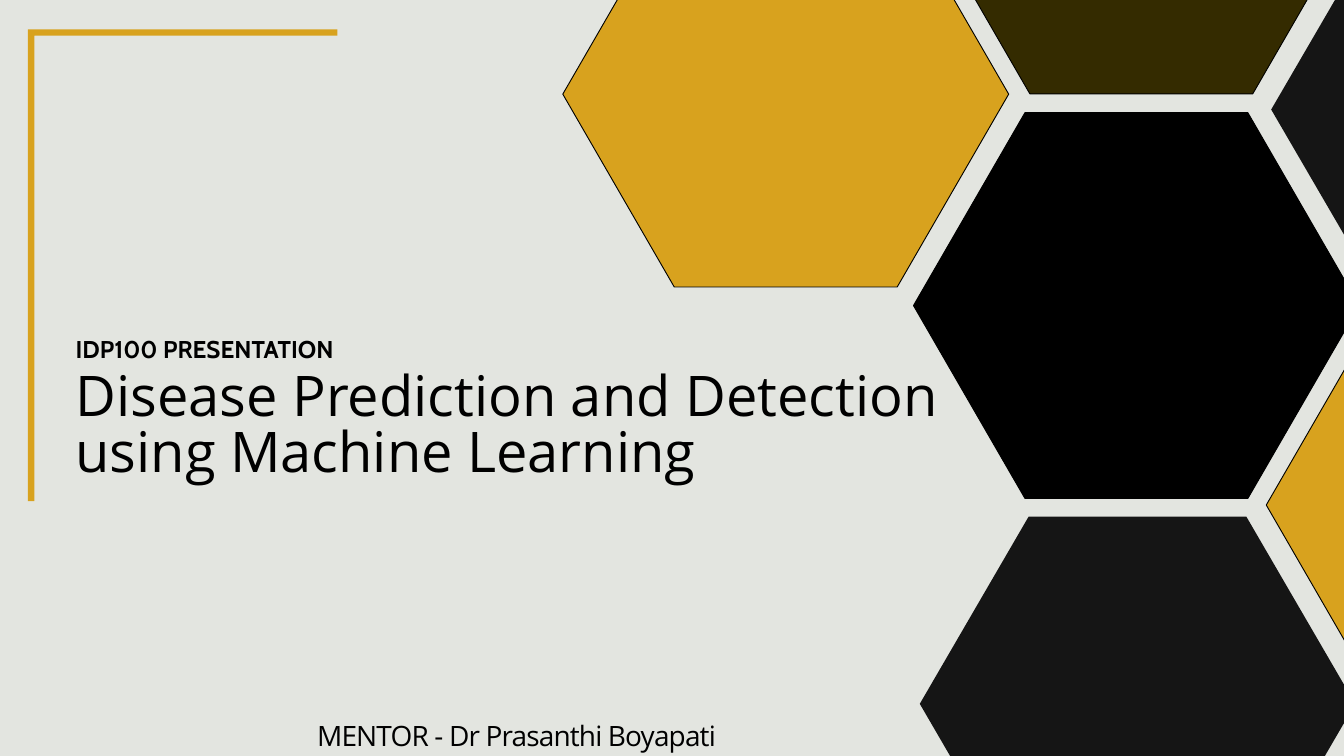
from pptx import Presentation
from pptx.dml.color import RGBColor
from pptx.enum.shapes import MSO_SHAPE
from pptx.enum.text import MSO_ANCHOR, MSO_AUTO_SIZE, PP_ALIGN
from pptx.util import Emu, Pt

EMU_PER_PX = 9525
GOLD, OLIVE, CHARCOAL, BLACK, PAPER = "D8A21E", "342B00", "151515", "000000", "E3E5E0"


def px(length):
    """Turn pixels into EMU."""
    return Emu(round(length * EMU_PER_PX))


def paint(fill, color):
    """Fill with one hex colour."""
    fill.solid()
    fill.fore_color.rgb = RGBColor.from_string(color)


def style_shape(shape, color, outlined=False):
    """Give a shape a flat fill and an optional black outline."""
    shape.shadow.inherit = False
    paint(shape.fill, color)
    if outlined:
        paint(shape.line.fill, BLACK)
        shape.line.width = Pt(1)
    else:
        shape.line.fill.background()


def add_hexagon(slide, box, color, outlined):
    """Draw a hexagon whose flat sides span half the box width."""
    width, height = box[2:]
    hexagon = slide.shapes.add_shape(MSO_SHAPE.HEXAGON, *map(px, box))
    hexagon.adjustments[0] = width / 4 / height
    style_shape(hexagon, color, outlined)


def add_honeycomb(slide, left, top):
    """Place the hexagon cells relative to the top-left of the cluster."""
    large, medium, small = (637, 551), (622, 535), (595, 511)
    cells = [
        (508, 0, large, OLIVE, True),
        (1012, 318, small, CHARCOAL, False),
        (501, 578, large, BLACK, True),
        (1005, 863, large, GOLD, True),
        (510, 1155, medium, CHARCOAL, False),
        (0, 276, large, GOLD, True),
    ]
    for x, y, size, color, outlined in cells:
        add_hexagon(slide, (left + x, top + y, *size), color, outlined)


def add_corner(slide, left, top, width, height, thickness):
    """Draw the angled bracket in the top-left corner."""
    outline = slide.shapes.build_freeform(px(left), px(top))
    corners = [(width, 0), (width, thickness), (thickness, thickness),
               (thickness, height), (0, height)]
    outline.add_line_segments([(px(left + x), px(top + y)) for x, y in corners], close=True)
    style_shape(outline.convert_to_shape(), GOLD)


def write_text(shape, text, line_height, font, tracking=0):
    """Set one left-aligned paragraph with the given font values."""
    frame = shape.text_frame
    layout = {"word_wrap": True, "auto_size": MSO_AUTO_SIZE.NONE,
              "vertical_anchor": MSO_ANCHOR.TOP, "margin_left": 0,
              "margin_top": 0, "margin_right": 0, "margin_bottom": 0}
    for name, value in layout.items():
        setattr(frame, name, value)
    paragraph = frame.paragraphs[0]
    spacing = {"alignment": PP_ALIGN.LEFT, "line_spacing": Pt(line_height),
               "space_before": Pt(0)}
    for name, value in spacing.items():
        setattr(paragraph, name, value)
    run = paragraph.add_run()
    run.text = text
    for name, value in font.items():
        setattr(run.font, name, value)
    run.font.color.rgb = RGBColor.from_string(BLACK)
    if tracking:
        run._r.get_or_add_rPr().set("spc", str(tracking))


def add_headings(slide, left, top):
    """Place the course label, title and mentor line."""
    title = slide.shapes.title
    title_box = {"left": left, "top": top + 61, "width": 1244, "height": 239}
    for name, value in title_box.items():
        setattr(title, name, px(value))
    write_text(title, "Disease Prediction and Detection using Machine Learning", 59.4,
               {"name": "Open Sans", "size": Pt(60), "bold": False})

    course = slide.shapes.add_textbox(*map(px, (left, top, 664, 47)))
    write_text(course, "IDP100 PRESENTATION", 36.4,
               {"name": "Cabin", "size": Pt(26), "bold": True})

    mentor = slide.shapes.add_textbox(*map(px, (left + 345, top + 548, 700, 54)))
    write_text(mentor, "MENTOR - Dr Prasanthi Boyapati", 42,
               {"name": "Open Sans", "size": Pt(30), "bold": False}, tracking=-90)


def main():
    """Build and save the cover slide."""
    deck = Presentation()
    deck.slide_width, deck.slide_height = px(1920), px(1080)
    cover = deck.slides.add_slide(deck.slide_layouts[5])
    paint(cover.background.fill, PAPER)
    add_honeycomb(cover, 804, -417)
    add_corner(cover, 40, 42, 442, 674, 9)
    add_headings(cover, 108, 471)
    deck.save("out.pptx")


if __name__ == "__main__":
    main()
